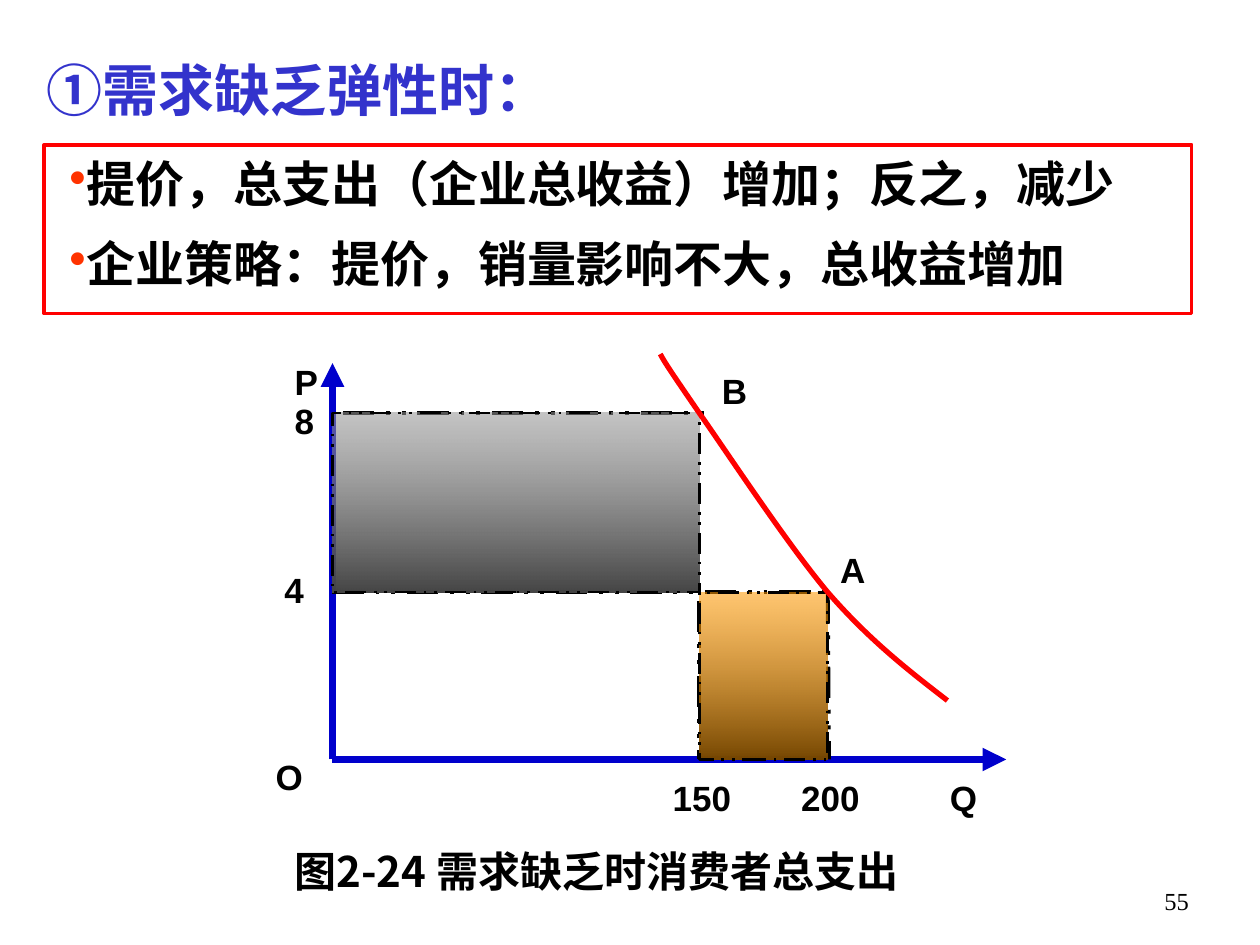
from pptx import Presentation
from pptx.dml.color import RGBColor
from pptx.enum.dml import MSO_LINE
from pptx.enum.shapes import MSO_CONNECTOR, MSO_SHAPE
from pptx.enum.text import MSO_ANCHOR, PP_ALIGN
from pptx.oxml.ns import qn
from pptx.util import Pt
from lxml import etree

STRAIGHT = MSO_CONNECTOR.STRAIGHT
RECTANGLE = MSO_SHAPE.RECTANGLE
DASH = MSO_LINE.DASH_DOT_DOT
TOP, MIDDLE = MSO_ANCHOR.TOP, MSO_ANCHOR.MIDDLE
LEFT, RIGHT = PP_ALIGN.LEFT, PP_ALIGN.RIGHT

BLACK = RGBColor(0x00, 0x00, 0x00)
WHITE = RGBColor(0xFF, 0xFF, 0xFF)
RED = RGBColor(0xFF, 0x00, 0x00)
AXIS_BLUE = RGBColor(0x00, 0x00, 0xCC)
TITLE_BLUE = RGBColor(0x33, 0x33, 0xCC)
BULLET_RED = RGBColor(0xFF, 0x33, 0x00)
GRAY, DARK_GRAY = RGBColor(0x96, 0x96, 0x96), RGBColor(0x45, 0x45, 0x45)
ORANGE, BROWN = RGBColor(0xFF, 0x99, 0x00), RGBColor(0x76, 0x47, 0x00)

LATIN, CHINESE, SERIF = "Arial", "Noto Sans CJK SC", "Times New Roman"


class SlideBuilder:
    def __init__(self, slide):
        self.slide = slide
        self.shapes = slide.shapes

    def style(self, paragraph, size, font_name, color=BLACK, bold=True):
        font = paragraph.font
        font.size, font.bold, font.name = Pt(size), bold, font_name
        font.color.rgb = color
        properties = paragraph._p.pPr.find(qn("a:defRPr"))
        etree.SubElement(properties, qn("a:ea")).set("typeface", font_name)

    def text(self, text, left, top, width, height, size=20, font_name=LATIN,
             color=BLACK, bold=True, align=LEFT, anchor=TOP):
        box = self.shapes.add_textbox(Pt(left), Pt(top), Pt(width), Pt(height))
        frame = box.text_frame
        frame.word_wrap = True
        frame.vertical_anchor = anchor
        paragraph = frame.paragraphs[0]
        paragraph.text = text
        paragraph.alignment = align
        self.style(paragraph, size, font_name, color, bold)

    def line(self, start, end, color=BLACK, width=2.25, dash=None, arrow=False):
        connector = self.shapes.add_connector(
            STRAIGHT, *(Pt(value) for value in (*start, *end)))
        connector.line.color.rgb = color
        connector.line.width = Pt(width)
        if dash is not None:
            connector.line.dash_style = dash
        if arrow:
            outline = connector._element.spPr.find(qn("a:ln"))
            etree.SubElement(outline, qn("a:tailEnd")).set("type", "triangle")
        etree.SubElement(connector._element.spPr, qn("a:effectLst"))

    def rectangle(self, left, top, right, bottom, line_color, line_width):
        shape = self.shapes.add_shape(
            RECTANGLE, Pt(left), Pt(top), Pt(right - left), Pt(bottom - top))
        shape.shadow.inherit = False
        shape.line.color.rgb = line_color
        shape.line.width = Pt(line_width)
        return shape

    def area(self, left, top, right, bottom, upper_color, lower_color):
        shape = self.rectangle(left, top, right, bottom, BLACK, 1.5)
        shape.line.dash_style = DASH
        shape.fill.gradient()
        shape.fill.gradient_angle = 270
        for stop, color in zip(shape.fill.gradient_stops, (upper_color, lower_color)):
            stop.color.rgb = color
        upper = next(shape._element.spPr.iter(qn("a:srgbClr")))
        etree.SubElement(upper, qn("a:alpha")).set("val", "56000")

    def bullets(self, lines, left, top, right, bottom):
        shape = self.rectangle(left, top, right, bottom, RED, 2)
        shape.fill.solid()
        shape.fill.fore_color.rgb = WHITE
        frame = shape.text_frame
        frame.vertical_anchor = TOP
        frame.margin_left = frame.margin_right = Pt(14.4)
        frame.margin_top = frame.margin_bottom = Pt(7.2)
        for index, text in enumerate(lines):
            paragraph = frame.add_paragraph() if index else frame.paragraphs[0]
            paragraph.text = text
            paragraph.alignment = LEFT
            paragraph.line_spacing = 0.95
            if index:
                paragraph.space_before = Pt(14)
            properties = paragraph._p.get_or_add_pPr()
            bullet_color = etree.SubElement(properties, qn("a:buClr"))
            etree.SubElement(bullet_color, qn("a:srgbClr")).set("val", str(BULLET_RED))
            etree.SubElement(properties, qn("a:buChar")).set("char", "•")
            self.style(paragraph, 28, CHINESE)

    def curve(self, points, color, width):
        """Draw Bezier segments: a start point, then three points for each."""
        start, *rest = [(Pt(x), Pt(y)) for x, y in points]
        builder = self.shapes.build_freeform(*start)
        builder.add_line_segments(rest, close=False)
        shape = builder.convert_to_shape()
        shape.shadow.inherit = False
        shape.fill.background()
        shape.line.color.rgb = color
        shape.line.width = Pt(width)
        # Join every three straight steps into one Bezier segment
        steps = list(shape._element.spPr.iter(qn("a:lnTo")))
        outline = steps[0].getparent()
        for first in range(0, len(steps), 3):
            segment = etree.SubElement(outline, qn("a:cubicBezTo"))
            for step in steps[first:first + 3]:
                segment.append(step[0])
                outline.remove(step)


def main():
    presentation = Presentation()
    presentation.slide_width, presentation.slide_height = Pt(720), Pt(540)
    builder = SlideBuilder(presentation.slides.add_slide(presentation.slide_layouts[6]))

    # Chart positions
    origin_x, origin_y = 190, 434
    x_150, x_200 = 399.6, 473
    y_8, y_4 = 236, 338.4

    # Axes
    origin = (origin_x, origin_y)
    for end in ((575, origin_y), (origin_x, 207.5)):
        builder.line(origin, end, AXIS_BLUE, 4.5, arrow=True)

    # Guide lines
    for start, end in (
        ((196, y_8), (405, y_8)),
        ((x_150, 343.5), (x_150, origin_y)),
        ((origin_x, y_4), (x_200, y_4)),
        ((x_200, y_4), (x_200 + 0.7, origin_y)),
    ):
        builder.line(start, end, dash=DASH)

    # Axis and point labels
    for text, left, top, width in (
        ("8", 161.3, 224.6, 45), ("200", 450.7, 440, 68), ("A", 473, 309.6, 45),
        ("150", 377.3, 440, 51), ("B", 405.4, 207.4, 45), ("O", 150.5, 428.4, 45),
        ("Q", 535.7, 440, 45), ("P", 161.3, 202.3, 45), ("4", 155.5, 321.1, 45),
    ):
        builder.text(text, left, top, width, 31.5)

    # Revenue areas
    builder.area(origin_x, y_8, x_150, y_4, GRAY, DARK_GRAY)
    builder.area(x_150, y_4, x_200, origin_y, ORANGE, BROWN)

    # Caption
    builder.text("图2-24 需求缺乏时消费者总支出", 161.3, 479.5, 436, 36, 24, CHINESE)

    # Demand curve
    builder.curve([
        (377.3, 202.3),
        (380, 207.4), (383.8, 213), (x_150, y_8),
        (415.4, 258.5), (450, 311), (x_200, y_4),
        (496.8, 365.8), (519, 383), (541.4, 400.3),
    ], RED, 3)

    # Title, statement box and page number
    builder.text("①需求缺乏弹性时：", 19.5, 15, 300, 71.5, 32, CHINESE,
                 TITLE_BLUE, anchor=MIDDLE)
    builder.bullets([
        "提价，总支出（企业总收益）增加；反之，减少",
        "企业策略：提价，销量影响不大，总收益增加",
    ], 25.2, 82.8, 681, 179.3)
    builder.text("55", 518.4, 502.5, 168, 37.5, 14, SERIF, bold=False, align=RIGHT)

    presentation.save("out.pptx")


if __name__ == "__main__":
    main()
